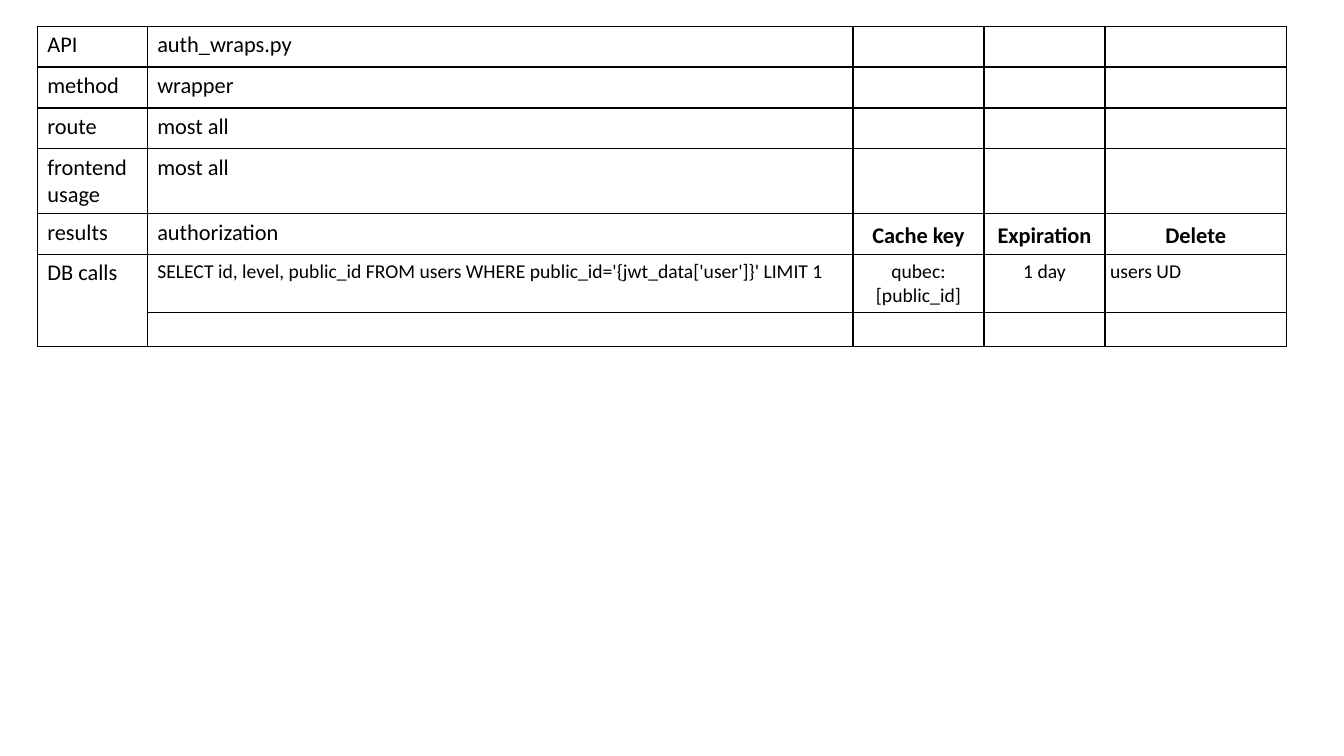
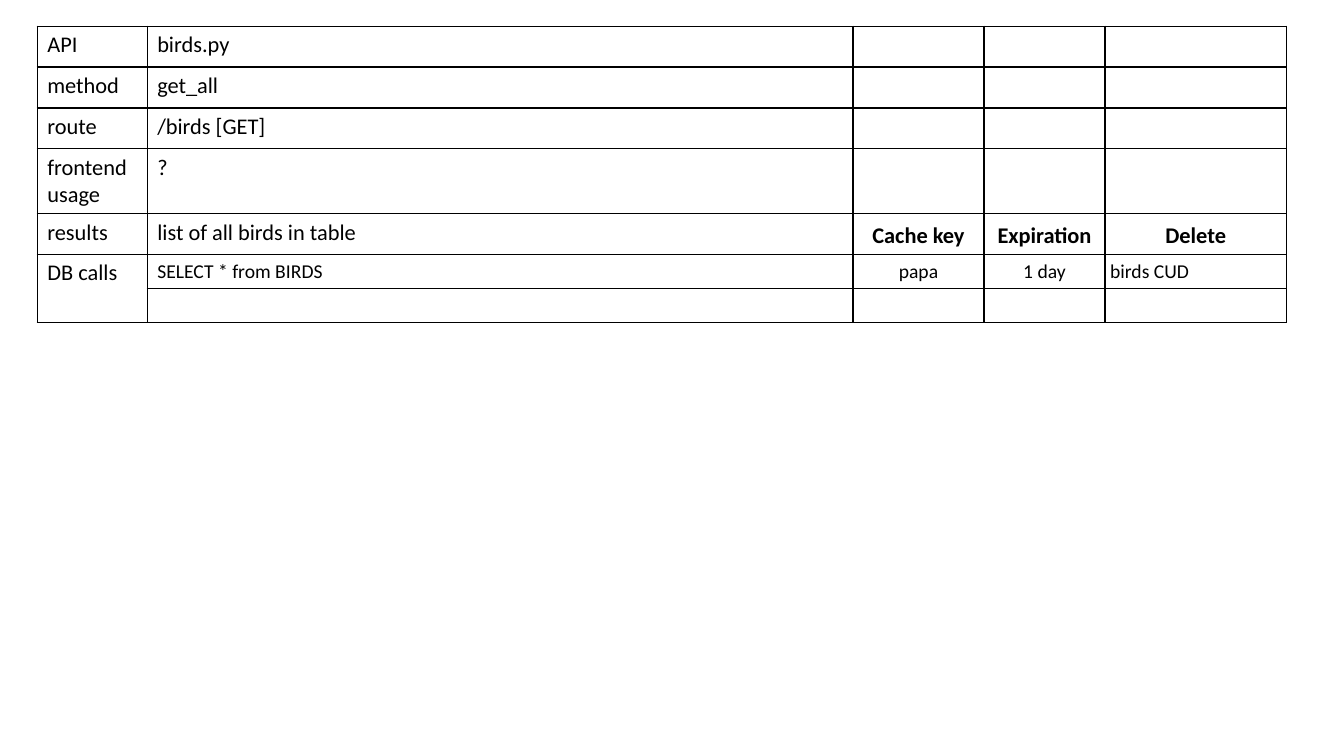
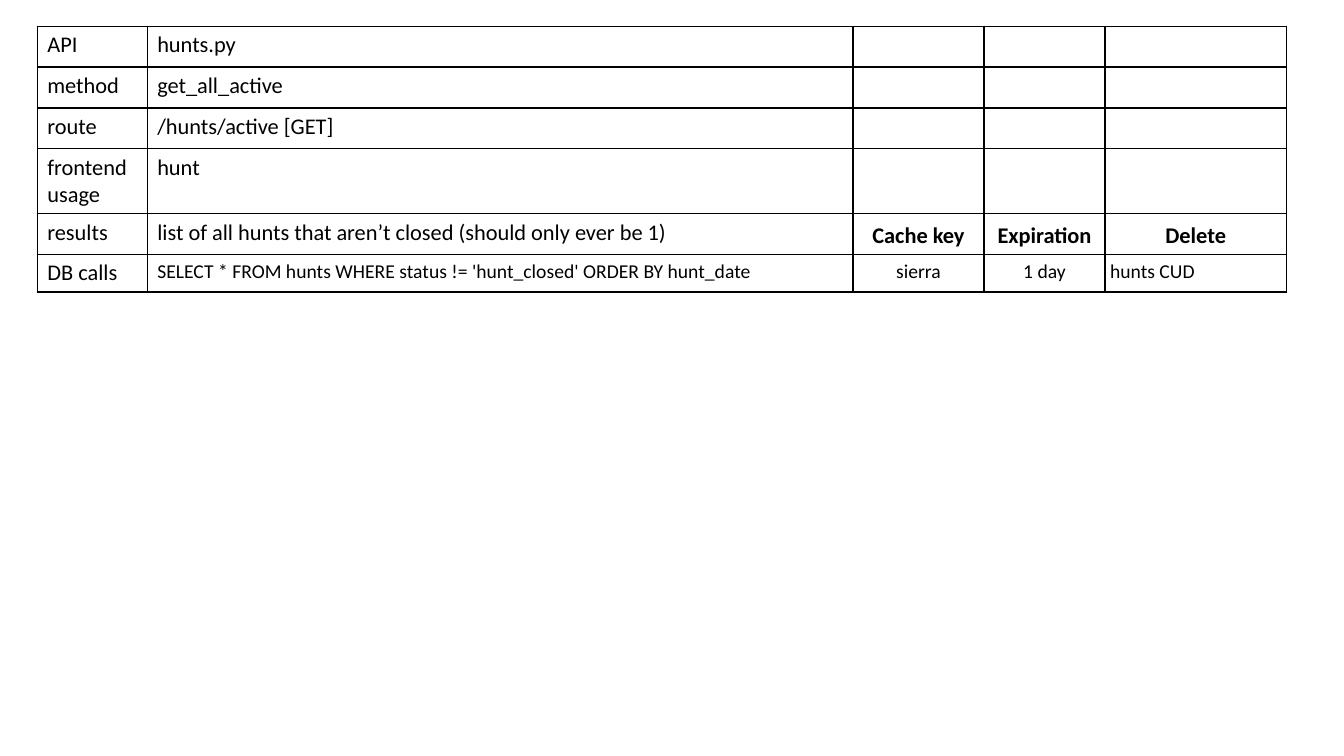
from lxml.etree import SubElement
from pptx import Presentation
from pptx.dml.color import RGBColor
from pptx.enum.text import MSO_ANCHOR as Anchor, PP_ALIGN as Align
from pptx.oxml import parse_xml
from pptx.oxml.ns import nsdecls, qn
from pptx.util import Inches, Pt

COLORS = {"text": "000000", "border": "000000"}
FONT = "Calibri"
BODY_SIZE, CALL_SIZE = 16, 14
LEFT, TOP = 0.37, 0.26
COLUMN_WIDTHS = [1.09, 7, 1.3, 1.2, 1.8]
LABELS = ["API", "method", "route", "frontend\nusage", "results"]
# Row heights are in points, column widths in inches
LABEL_HEIGHTS = [29.2, 29.2, 29.2, 46.2, 29.2]
CACHE_HEADERS = ["Cache key", "Expiration", "Delete"]
CALL_INSET = 0.05
BLANK_CALL = ["", "", "", ""]

# Each endpoint: values beside the labels, database calls, heights of the call rows
ENDPOINTS = [
    (["auth_wraps.py", "wrapper", "most all", "most all", "authorization"],
     [["SELECT id, level, public_id FROM users WHERE "
       "public_id='{jwt_data['user']}' LIMIT 1",
       "qubec:[public_id]", "1 day", "users UD"], BLANK_CALL],
     [41.2, 24.3]),
    (["birds.py", "get_all", "/birds [GET]", "?", "list of all birds in table"],
     [["SELECT * from BIRDS", "papa", "1 day", "birds CUD"], BLANK_CALL],
     [24.3, 24.3]),
    (["hunts.py", "get_all_active", "/hunts/active [GET]", "hunt",
      "list of all hunts that aren’t closed (should only ever be 1)"],
     [["SELECT * FROM hunts WHERE status != 'hunt_closed' ORDER BY hunt_date",
       "sierra", "1 day", "hunts CUD"]],
     [26.7]),
]


def add_borders(cell):
    """Draw a 1 pt line on all four sides of a table cell."""
    properties = cell._tc.get_or_add_tcPr()
    for side in ("lnL", "lnR", "lnT", "lnB"):
        properties.append(parse_xml(
            f'<a:{side} {nsdecls("a")} w="{Pt(1)}"><a:solidFill>'
            f'<a:srgbClr val="{COLORS["border"]}"/></a:solidFill></a:{side}>'))


def fill_cell(cell, text, size, bold=False, align=Align.LEFT):
    """Write a cell's text in the shared style, with borders and no fill."""
    add_borders(cell)
    cell.fill.background()
    cell.text_frame.text = text
    for paragraph in cell.text_frame.paragraphs:
        paragraph.alignment = align
        for run in paragraph.runs:
            run.font.name, run.font.size, run.font.bold = FONT, Pt(size), bold
            run.font.color.rgb = RGBColor.from_string(COLORS["text"])
        if not paragraph.runs:
            SubElement(paragraph._p, qn("a:endParaRPr"), sz=str(size * 100))


presentation = Presentation()
presentation.slide_width = Inches(13.33)
presentation.slide_height = Inches(7.5)
blank_layout = presentation.slide_layouts[6]

for values, calls, call_heights in ENDPOINTS:
    slide = presentation.slides.add_slide(blank_layout)
    heights = LABEL_HEIGHTS + call_heights
    table = slide.shapes.add_table(
        len(heights), len(COLUMN_WIDTHS), Inches(LEFT), Inches(TOP),
        Inches(sum(COLUMN_WIDTHS)), Pt(sum(heights))).table
    table.first_row = table.horz_banding = False
    for column, width in zip(table.columns, COLUMN_WIDTHS):
        column.width = Inches(width)
    for row, height in zip(table.rows, heights):
        row.height = Pt(height)

    for row_index, (label, value) in enumerate(zip(LABELS, values)):
        headers = CACHE_HEADERS if label == "results" else [""] * 3
        fill_cell(table.cell(row_index, 0), label, BODY_SIZE)
        fill_cell(table.cell(row_index, 1), value, BODY_SIZE)
        for column_index, header in enumerate(headers, start=2):
            cell = table.cell(row_index, column_index)
            fill_cell(cell, header, BODY_SIZE, bold=True, align=Align.CENTER)
            if header:
                cell.vertical_anchor = Anchor.BOTTOM

    first_call = len(LABELS)
    for row_index, call in enumerate(calls, start=first_call):
        if row_index == first_call:
            fill_cell(table.cell(row_index, 0), "DB calls", BODY_SIZE)
        else:
            fill_cell(table.cell(row_index, 0), "", CALL_SIZE)
        for column_index, text in enumerate(call, start=1):
            cell = table.cell(row_index, column_index)
            centered = column_index in (2, 3)
            fill_cell(cell, text, CALL_SIZE,
                      align=Align.CENTER if centered else Align.LEFT)
            if column_index > 1:
                cell.margin_left = cell.margin_right = Inches(CALL_INSET)
    if len(calls) > 1:
        table.cell(first_call, 0).merge(table.cell(len(heights) - 1, 0))

presentation.save("out.pptx")
